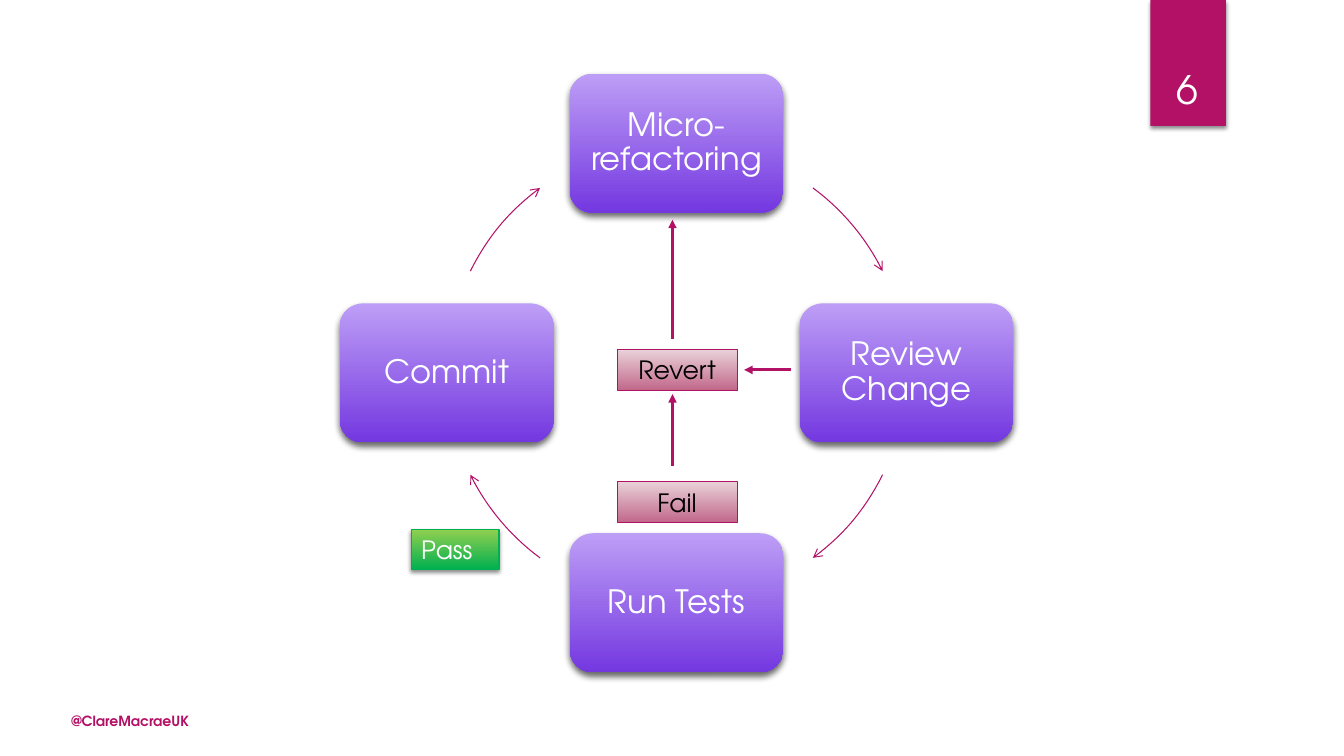
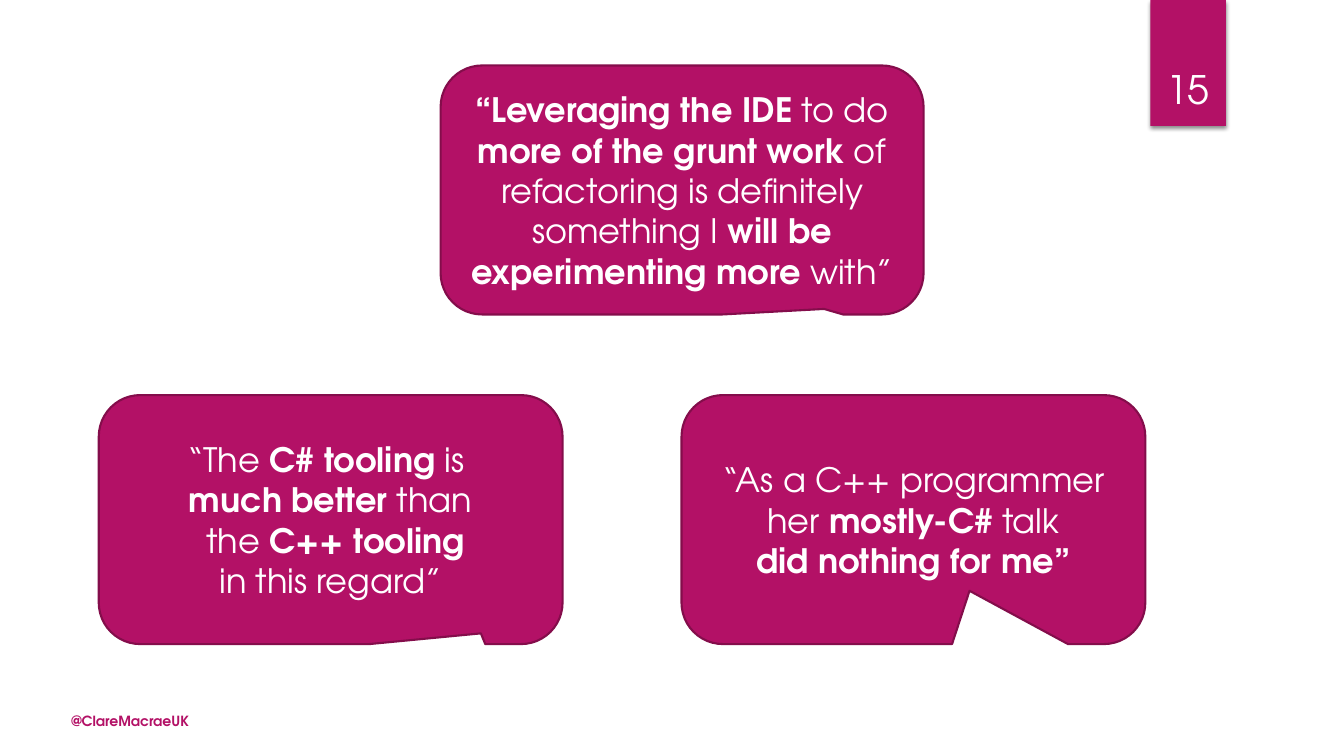
import math
from dataclasses import dataclass

import pptx
import pptx.dml.color
import pptx.dml.fill
import pptx.enum.shapes
import pptx.enum.text
import pptx.oxml
import pptx.oxml.ns
import pptx.presentation
import pptx.shapes.autoshape
import pptx.slide
import pptx.text.text
import pptx.util
from pptx.dml.color import RGBColor
from pptx.enum.shapes import MSO_SHAPE
from pptx.enum.text import MSO_ANCHOR, PP_ALIGN
from pptx.util import Inches, Pt

FONT = "TeX Gyre Adventor"
WHITE = RGBColor(0xFF, 0xFF, 0xFF)
BLACK = RGBColor(0x00, 0x00, 0x00)
MAGENTA = RGBColor(0xB3, 0x11, 0x66)
DARK_MAGENTA = RGBColor(0x84, 0x0D, 0x4B)
LILAC = RGBColor(0xBD, 0x9E, 0xF6)
PURPLE = RGBColor(0x74, 0x38, 0xE0)
LIME = RGBColor(0x92, 0xD0, 0x50)
GREEN = RGBColor(0x00, 0xB0, 0x50)
PALE_PINK = RGBColor(0xE9, 0xD1, 0xD8)
ROSE = RGBColor(0xC2, 0x69, 0x8B)

CYCLE_X, CYCLE_Y, CYCLE_RADIUS = 6.71, 3.7, 2.28
STEP_WIDTH, STEP_HEIGHT = 2.12, 1.38
STEPS = ("Micro-refactoring", "Review Change", "Run Tests", "Commit")
ARC_STARTS = (306.4, 26.3, 126.4, 206.3)
ARC_SWEEP = 27.3


@dataclass(frozen=True)
class Box:
    left: float
    top: float
    width: float
    height: float

    def lengths(self) -> tuple[Inches, Inches, Inches, Inches]:
        return (Inches(self.left), Inches(self.top),
                Inches(self.width), Inches(self.height))


@dataclass(frozen=True)
class Shadow:
    opacity: int
    blur: float
    distance: float


@dataclass(frozen=True)
class Outcome:
    text: str
    box: Box
    gradient: tuple[RGBColor, RGBColor]
    outline: RGBColor
    text_color: RGBColor
    align: PP_ALIGN
    shadow: Shadow | None = None


@dataclass(frozen=True)
class Arrow:
    start: tuple[float, float]
    end: tuple[float, float]


@dataclass(frozen=True)
class Phrase:
    text: str
    bold: bool = False


@dataclass(frozen=True)
class Quote:
    box: Box
    pointer: tuple[float, float]
    phrases: tuple[Phrase, ...]


SOFT_SHADOW = Shadow(45, 3, 2)
STEP_SHADOW = Shadow(60, 5, 3)

OUTCOMES = (
    Outcome("Pass", Box(4.08, 5.25, 0.87, 0.4), (LIME, GREEN), GREEN, WHITE,
            PP_ALIGN.LEFT, SOFT_SHADOW),
    Outcome("Fail", Box(6.12, 4.78, 1.19, 0.4), (PALE_PINK, ROSE), MAGENTA, BLACK,
            PP_ALIGN.CENTER),
    Outcome("Revert", Box(6.12, 3.47, 1.19, 0.4), (PALE_PINK, ROSE), MAGENTA, BLACK,
            PP_ALIGN.CENTER),
)

REVERT_ARROWS = (
    Arrow((6.67, 3.36), (6.67, 2.18)),
    Arrow((7.85, 3.67), (7.38, 3.67)),
    Arrow((6.67, 4.62), (6.67, 3.91)),
)

QUOTES = (
    Quote(Box(6.76, 3.92, 4.6, 2.47), (0.121, 0.286), (
        Phrase("“As a C++ programmer her "), Phrase("mostly-C#", True),
        Phrase(" talk\n"), Phrase("did nothing for me”", True))),
    Quote(Box(4.37, 0.65, 4.79, 2.47), (0.294, 0.478), (
        Phrase("“Leveraging the IDE ", True), Phrase("to do "),
        Phrase("more of the grunt work", True),
        Phrase(" of refactoring is definitely something I "),
        Phrase("will be experimenting more ", True), Phrase("with”"))),
    Quote(Box(0.98, 3.92, 4.6, 2.47), (0.324, 0.457), (
        Phrase("“The "), Phrase("C# tooling ", True), Phrase("is \n"),
        Phrase("much better ", True), Phrase("than\n the "),
        Phrase("C++ tooling\n", True), Phrase("in this regard”"))),
)


def add_shadow(shape: pptx.shapes.autoshape.Shape, shadow: Shadow) -> None:
    """Drop a black shadow straight down."""
    effects = pptx.oxml.parse_xml(
        f'<a:effectLst {pptx.oxml.ns.nsdecls("a")}>'
        f'<a:outerShdw blurRad="{Pt(shadow.blur)}" dist="{Pt(shadow.distance)}" '
        'dir="5400000" rotWithShape="0"><a:srgbClr val="000000">'
        f'<a:alpha val="{shadow.opacity * 1000}"/></a:srgbClr></a:outerShdw>'
        '</a:effectLst>')
    properties = shape._element.spPr
    for empty in properties.findall(pptx.oxml.ns.qn("a:effectLst")):
        properties.remove(empty)
    properties.append(effects)


def add_arrowhead(line_format: pptx.dml.line.LineFormat, head: str) -> None:
    line_format._get_or_add_ln().append(pptx.oxml.parse_xml(
        f'<a:tailEnd {pptx.oxml.ns.nsdecls("a")} type="{head}"/>'))


def fill_downward(fill: pptx.dml.fill.FillFormat,
                  colors: tuple[RGBColor, RGBColor]) -> None:
    """Fill with a gradient that runs from top to bottom."""
    fill.gradient()
    fill.gradient_angle = 270
    for stop, color in zip(fill.gradient_stops, colors):
        stop.color.rgb = color


def add_plain_shape(slide: pptx.slide.Slide, preset: MSO_SHAPE, box: Box,
                    outline: RGBColor | None = None,
                    weight: float = 0.75) -> pptx.shapes.autoshape.Shape:
    shape = slide.shapes.add_shape(preset, *box.lengths())
    shape.shadow.inherit = False
    if outline is None:
        shape.line.fill.background()
    else:
        shape.line.color.rgb = outline
        shape.line.width = Pt(weight)
    return shape


def style_font(font: pptx.text.text.Font, size: float, color: RGBColor,
               bold: bool = False) -> None:
    font.name = FONT
    font.size = Pt(size)
    font.color.rgb = color
    font.bold = bold


def write(frame: pptx.text.text.TextFrame, text: str, size: float, color: RGBColor,
          align: PP_ALIGN = PP_ALIGN.CENTER,
          anchor: MSO_ANCHOR = MSO_ANCHOR.MIDDLE) -> None:
    frame.text = text
    frame.word_wrap = True
    frame.vertical_anchor = anchor
    paragraph = frame.paragraphs[0]
    paragraph.alignment = align
    style_font(paragraph.runs[0].font, size, color)


def add_slide(deck: pptx.presentation.Presentation, number: int) -> pptx.slide.Slide:
    """Add a slide with its page number band and author handle."""
    slide = deck.slides.add_slide(deck.slide_layouts[6])
    band = add_plain_shape(slide, MSO_SHAPE.RECTANGLE, Box(11.41, 0, 0.75, 1.25))
    band.fill.solid()
    band.fill.fore_color.rgb = MAGENTA
    add_shadow(band, SOFT_SHADOW)

    handle = slide.shapes.add_textbox(*Box(0.61, 6.99, 4.22, 0.33).lengths()).text_frame
    write(handle, "@ClareMacraeUK", 10, MAGENTA, PP_ALIGN.LEFT)
    handle.paragraphs[0].runs[0].font.bold = True

    page = slide.shapes.add_textbox(*Box(11.32, 0.32, 0.92, 0.84).lengths()).text_frame
    write(page, str(number), 28, WHITE, anchor=MSO_ANCHOR.BOTTOM)
    return slide


def add_step(slide: pptx.slide.Slide, text: str, angle: float) -> None:
    """Place a step on the cycle, at an angle clockwise from the top."""
    center_x = CYCLE_X + CYCLE_RADIUS * math.sin(math.radians(angle))
    center_y = CYCLE_Y - CYCLE_RADIUS * math.cos(math.radians(angle))
    step = add_plain_shape(slide, MSO_SHAPE.ROUNDED_RECTANGLE, Box(
        center_x - STEP_WIDTH / 2, center_y - STEP_HEIGHT / 2,
        STEP_WIDTH, STEP_HEIGHT))
    fill_downward(step.fill, (LILAC, PURPLE))
    add_shadow(step, STEP_SHADOW)
    frame = step.text_frame
    frame.margin_left = frame.margin_right = Inches(0.1)
    frame.margin_top = frame.margin_bottom = Inches(0.1)
    write(frame, text, 23, WHITE)
    frame.paragraphs[0].line_spacing = 0.9


def add_cycle_arc(slide: pptx.slide.Slide, start: float) -> None:
    diameter = 2 * CYCLE_RADIUS
    arc = add_plain_shape(slide, MSO_SHAPE.ARC, Box(
        CYCLE_X - CYCLE_RADIUS, CYCLE_Y - CYCLE_RADIUS, diameter, diameter), MAGENTA)
    arc.fill.background()
    for index, degrees in enumerate((start, start + ARC_SWEEP)):
        arc.adjustments[index] = degrees % 360 * 0.6
    add_arrowhead(arc.line, "arrow")


def add_outcome(slide: pptx.slide.Slide, outcome: Outcome) -> None:
    label = add_plain_shape(slide, MSO_SHAPE.RECTANGLE, outcome.box, outcome.outline)
    fill_downward(label.fill, outcome.gradient)
    if outcome.shadow:
        add_shadow(label, outcome.shadow)
    write(label.text_frame, outcome.text, 18, outcome.text_color, outcome.align)


def add_arrow(slide: pptx.slide.Slide, arrow: Arrow) -> None:
    connector = slide.shapes.add_connector(
        pptx.enum.shapes.MSO_CONNECTOR.STRAIGHT,
        *(Inches(value) for value in arrow.start + arrow.end))
    connector.line.color.rgb = MAGENTA
    connector.line.width = Pt(2)
    add_arrowhead(connector.line, "triangle")
    connector._element.spPr.append(
        pptx.oxml.parse_xml(f'<a:effectLst {pptx.oxml.ns.nsdecls("a")}/>'))


def add_quote(slide: pptx.slide.Slide, quote: Quote) -> None:
    bubble = add_plain_shape(slide, MSO_SHAPE.ROUNDED_RECTANGULAR_CALLOUT, quote.box,
                             DARK_MAGENTA, 1.5)
    bubble.fill.solid()
    bubble.fill.fore_color.rgb = MAGENTA
    for index, value in enumerate(quote.pointer):
        bubble.adjustments[index] = value
    frame = bubble.text_frame
    frame.word_wrap = True
    frame.vertical_anchor = MSO_ANCHOR.MIDDLE
    paragraph = frame.paragraphs[0]
    paragraph.alignment = PP_ALIGN.CENTER
    for phrase in quote.phrases:
        for index, line in enumerate(phrase.text.split("\n")):
            if index:
                paragraph.add_line_break()
            if line:
                run = paragraph.add_run()
                run.text = line
                style_font(run.font, 24, WHITE, phrase.bold)


def main() -> None:
    deck = pptx.Presentation()
    deck.slide_width, deck.slide_height = Inches(13.33), Inches(7.5)

    cycle = add_slide(deck, 6)
    for index, (text, arc_start) in enumerate(zip(STEPS, ARC_STARTS)):
        add_step(cycle, text, index * 360 / len(STEPS))
        add_cycle_arc(cycle, arc_start)
    for outcome in OUTCOMES:
        add_outcome(cycle, outcome)
    for arrow in REVERT_ARROWS:
        add_arrow(cycle, arrow)

    feedback = add_slide(deck, 15)
    for quote in QUOTES:
        add_quote(feedback, quote)

    deck.save("out.pptx")


if __name__ == "__main__":
    main()
